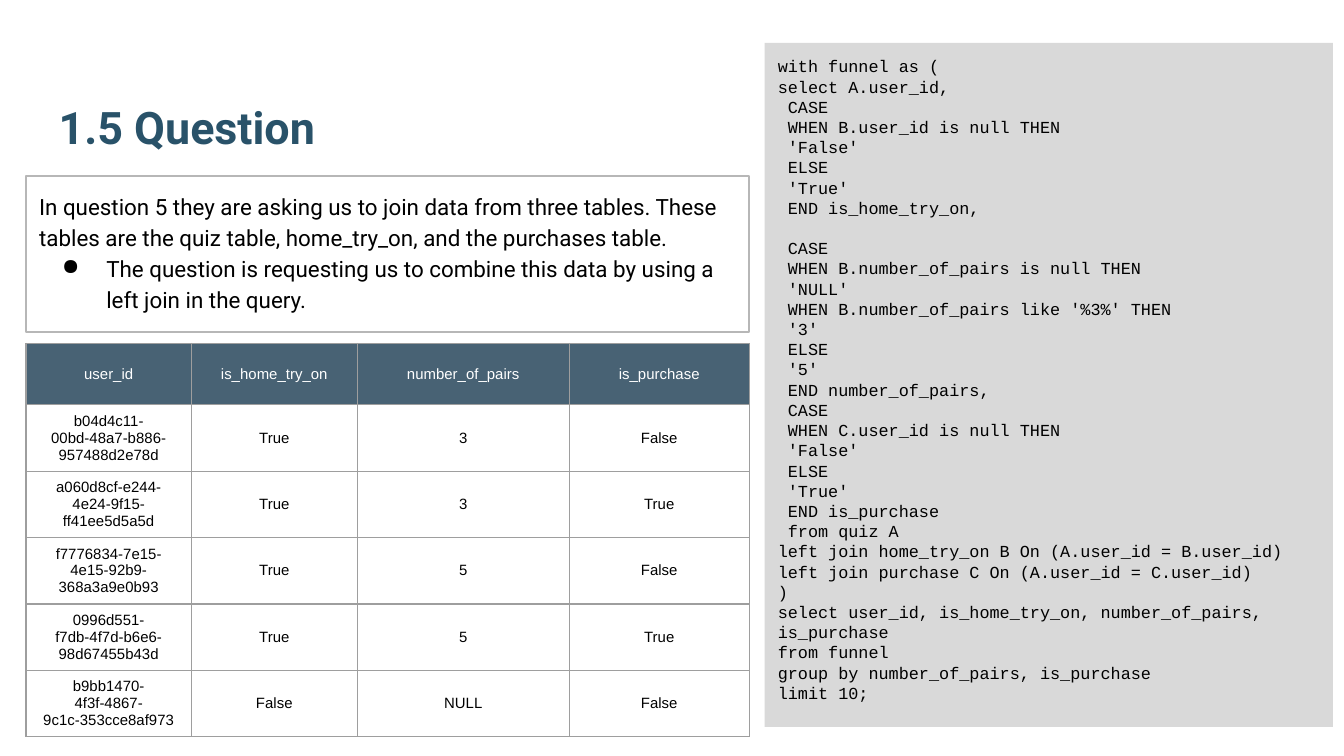
from lxml.etree import SubElement
from pptx import Presentation
from pptx.dml.color import RGBColor
from pptx.enum.shapes import MSO_SHAPE as Shape
from pptx.enum.text import MSO_ANCHOR as Anchor, PP_ALIGN as Align
from pptx.oxml import parse_xml
from pptx.oxml.ns import nsdecls, qn
from pptx.util import Cm, Pt

FORMATS = {
    "title": {"name": "Roboto", "size": Pt(24), "bold": True},
    "code": {"name": "Courier New", "size": Pt(9)},
    "body": {"name": "Roboto", "size": Pt(12)},
    "cell": {"name": "Arial", "size": Pt(8)},
}
QUERY = """with funnel as (
select A.user_id,
 CASE
 WHEN B.user_id is null THEN
 'False'
 ELSE
 'True'
 END is_home_try_on,
 
 CASE
 WHEN B.number_of_pairs is null THEN
 'NULL'
 WHEN B.number_of_pairs like '%3%' THEN
 '3'
 ELSE
 '5'
 END number_of_pairs,
 CASE
 WHEN C.user_id is null THEN
 'False'
 ELSE
 'True'
 END is_purchase
 from quiz A
left join home_try_on B On (A.user_id = B.user_id)
left join purchase C On (A.user_id = C.user_id)
)
select user_id, is_home_try_on, number_of_pairs, is_purchase
from funnel
group by number_of_pairs, is_purchase
limit 10;"""
INTRO = ("In question 5 they are asking us to join data from three tables. These tables "
         "are the quiz table, home_try_on, and the purchases table.")
BULLET = "The question is requesting us to combine this data by using a left join in the query."
RESULTS = [
    ("user_id", "is_home_try_on", "number_of_pairs", "is_purchase"),
    ("b04d4c11-00bd-48a7-b886-957488d2e78d", "True", "3", "False"),
    ("a060d8cf-e244-4e24-9f15-ff41ee5d5a5d", "True", "3", "True"),
    ("f7776834-7e15-4e15-92b9-368a3a9e0b93", "True", "5", "False"),
    ("0996d551-f7db-4f7d-b6e6-98d67455b43d", "True", "5", "True"),
    ("b9bb1470-4f3f-4867-9c1c-353cce8af973", "False", "NULL", "False"),
]


def color(value):
    """Turn a hex string into a colour."""
    return RGBColor.from_string(value)


def write(paragraph, text, style, ink="000000"):
    """Add a run of text in a named style."""
    run = paragraph.add_run()
    run.text = text
    for name, value in FORMATS[style].items():
        setattr(run.font, name, value)
    run.font.color.rgb = color(ink)


def set_frame(frame, anchor):
    """Wrap a text frame, with equal insets all round."""
    settings = {"word_wrap": True, "vertical_anchor": anchor}
    settings.update({f"margin_{side}": Cm(0.25) for side in ("left", "right", "top", "bottom")})
    for name, value in settings.items():
        setattr(frame, name, value)


def add_panel(slide, box, fill=None, line=None):
    """Draw a rectangle and return its text frame."""
    shape = slide.shapes.add_shape(Shape.RECTANGLE, *map(Cm, box))
    shape.shadow.inherit = False
    if fill:
        shape.fill.solid()
        shape.fill.fore_color.rgb = color(fill)
    else:
        shape.fill.background()
    if line:
        shape.line.color.rgb = color(line)
        shape.line.width = Pt(0.75)
    else:
        shape.line.fill.background()
    set_frame(shape.text_frame, Anchor.TOP)
    return shape.text_frame


def add_title(slide, box):
    """Place the slide title at the bottom of its box."""
    frame = slide.shapes.add_textbox(*map(Cm, box)).text_frame
    set_frame(frame, Anchor.BOTTOM)
    write(frame.paragraphs[0], "1.5 Question", "title", "295269")


def add_query(slide, box):
    """Place the SQL query, one paragraph a line."""
    frame = add_panel(slide, box, fill="D9D9D9")
    for index, line in enumerate(QUERY.split("\n")):
        paragraph = frame.add_paragraph() if index else frame.paragraphs[0]
        paragraph.alignment = Align.LEFT
        write(paragraph, line, "code")


def add_explanation(slide, box):
    """Place the introduction and its bullet."""
    frame = add_panel(slide, box, line="B7B7B7")
    intro, bullet = frame.paragraphs[0], frame.add_paragraph()
    for paragraph, text in ((intro, INTRO), (bullet, BULLET)):
        paragraph.alignment = Align.LEFT
        paragraph.line_spacing = 1.15
        write(paragraph, text, "body")
    properties = bullet._p.get_or_add_pPr()
    properties.set("marL", str(Cm(1.27)))
    properties.set("indent", str(Cm(-0.84)))
    bullet_color = SubElement(properties, qn("a:buClr"))
    SubElement(bullet_color, qn("a:srgbClr"), val="000000")
    SubElement(properties, qn("a:buChar"), char="●")


def style_cell(cell, fill):
    """Give a cell its borders and its translucent fill, if any."""
    properties = cell._tc.get_or_add_tcPr()
    for side in ("lnL", "lnR", "lnT", "lnB"):
        properties.append(parse_xml(
            f'<a:{side} {nsdecls("a")} w="{Pt(0.75)}"><a:solidFill>'
            f'<a:srgbClr val="9E9E9E"/></a:solidFill></a:{side}>'))
    if fill:
        cell.fill.solid()
        cell.fill.fore_color.rgb = color(fill)
        SubElement(properties.find(".//" + qn("a:solidFill") + "/" + qn("a:srgbClr")
                                   + f"[@val='{fill}']"), qn("a:alpha"), val="82000")
    else:
        cell.fill.background()


def add_results(slide, box):
    """Place the table of query results."""
    widths = (3.13, 3.13, 4.01, 3.4)
    table = slide.shapes.add_table(len(RESULTS), len(widths), *map(Cm, box)).table
    for column, width in zip(table.columns, widths):
        column.width = Cm(width)
    fills = ["204056", "FFFFFF"] + [None] * (len(RESULTS) - 2)
    for row_index, (values, fill) in enumerate(zip(RESULTS, fills)):
        table.rows[row_index].height = Cm(1.21 if row_index else 1.16)
        for column_index, value in enumerate(values):
            cell = table.cell(row_index, column_index)
            style_cell(cell, fill)
            cell.vertical_anchor = Anchor.MIDDLE
            cell.margin_top = cell.margin_bottom = Cm(0.12)
            paragraph = cell.text_frame.paragraphs[0]
            paragraph.alignment = Align.CENTER
            write(paragraph, value, "cell", "000000" if row_index else "FFFFFF")


def main():
    """Build the slide and save it."""
    presentation = Presentation()
    presentation.slide_width, presentation.slide_height = Cm(25.4), Cm(14.29)
    slide = presentation.slides.add_slide(presentation.slide_layouts[6])
    add_title(slide, (0.86, 0.81, 23.67, 2.34))
    add_query(slide, (14.45, 0.81, 10.74, 12.93))
    add_explanation(slide, (0.49, 3.33, 13.67, 2.95))
    add_results(slide, (0.49, 6.49, 13.67, 7.21))
    presentation.save("out.pptx")


if __name__ == "__main__":
    main()
